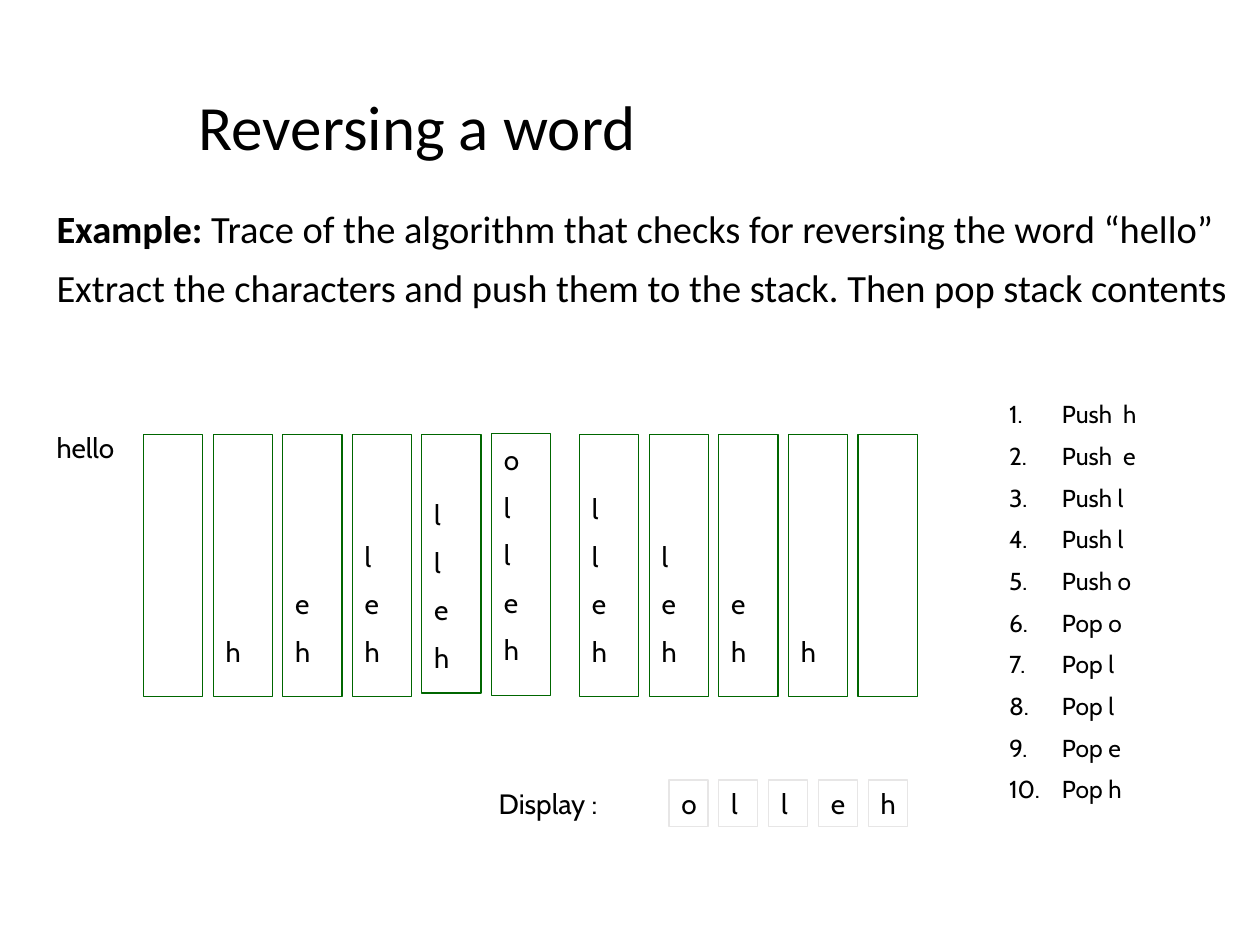
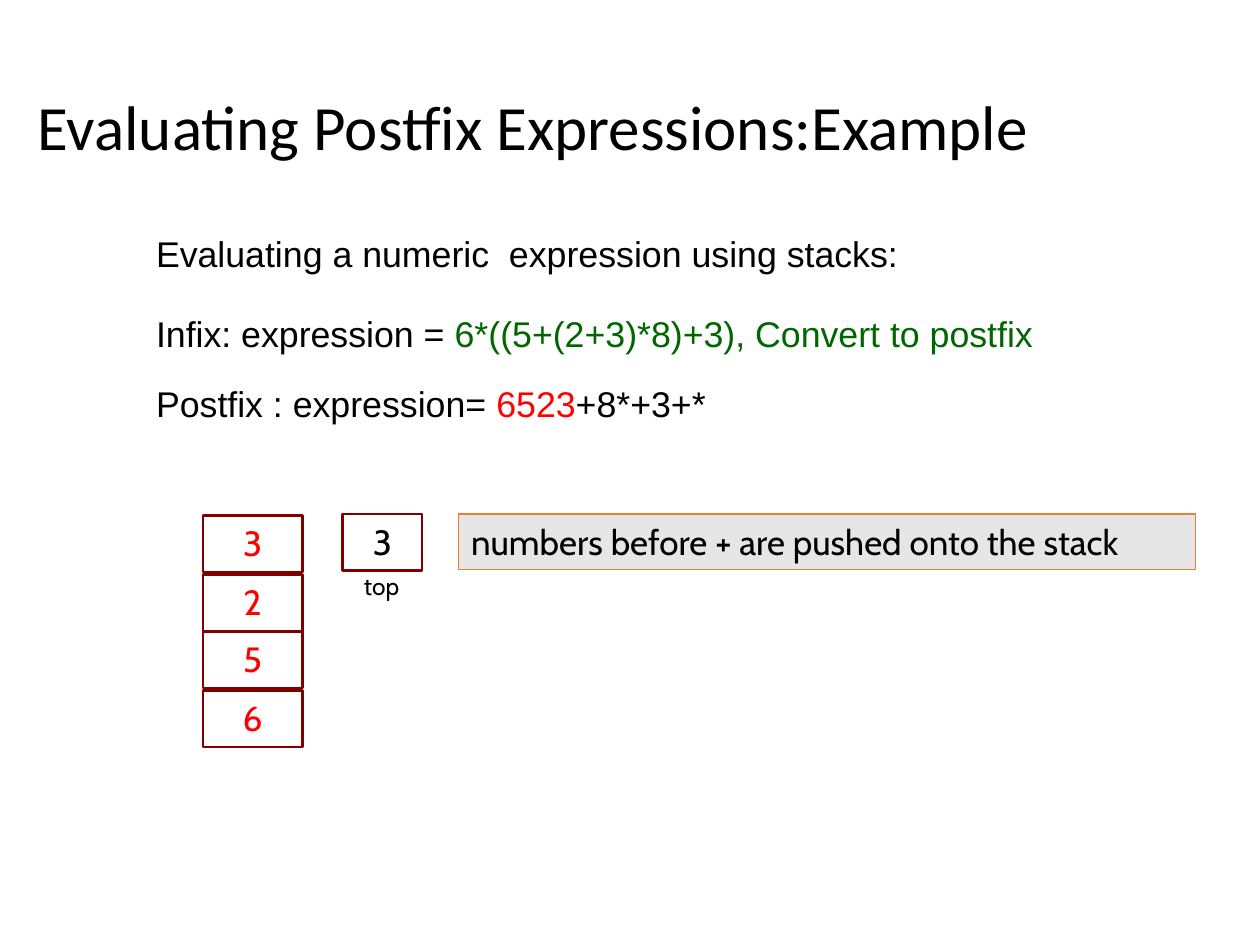
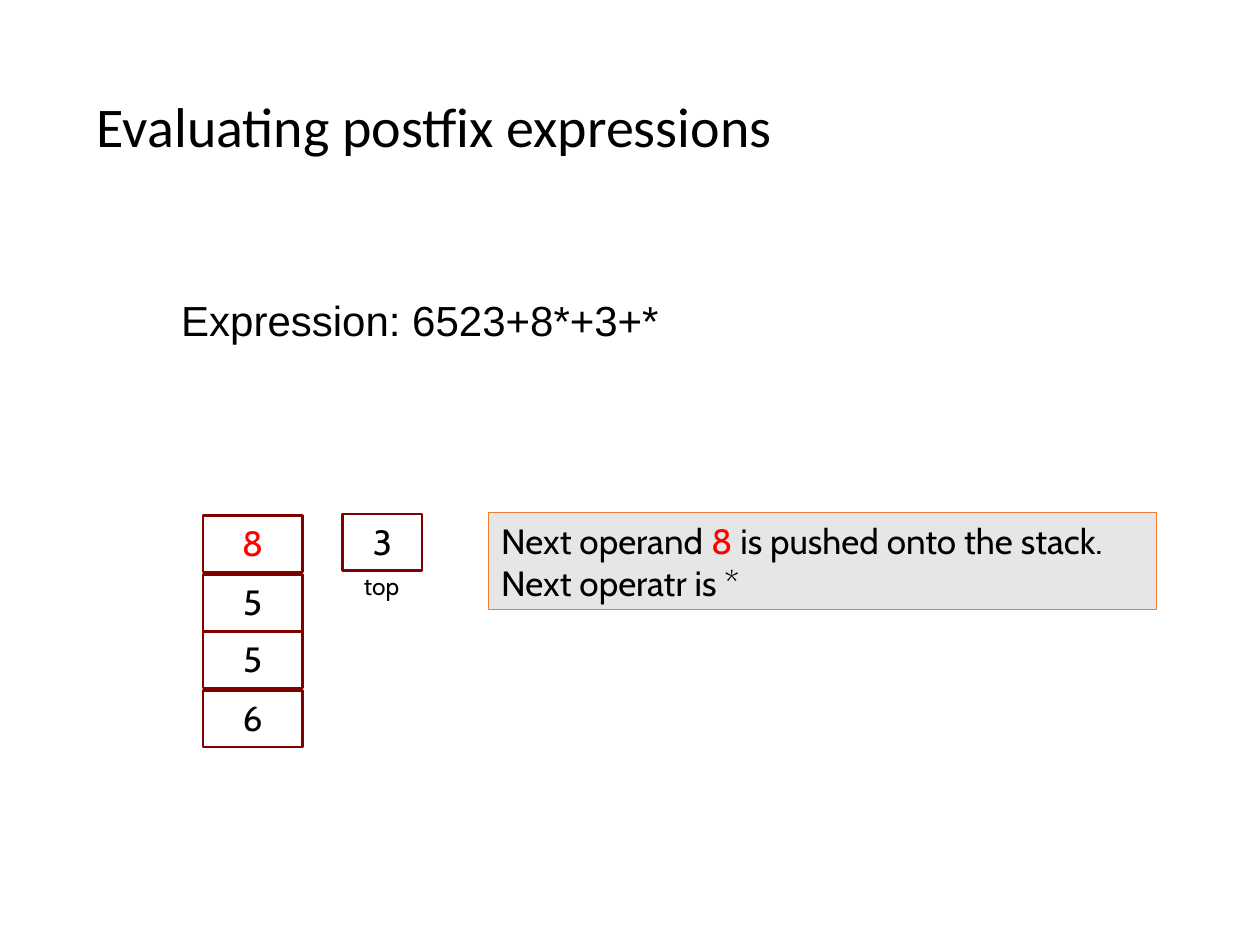
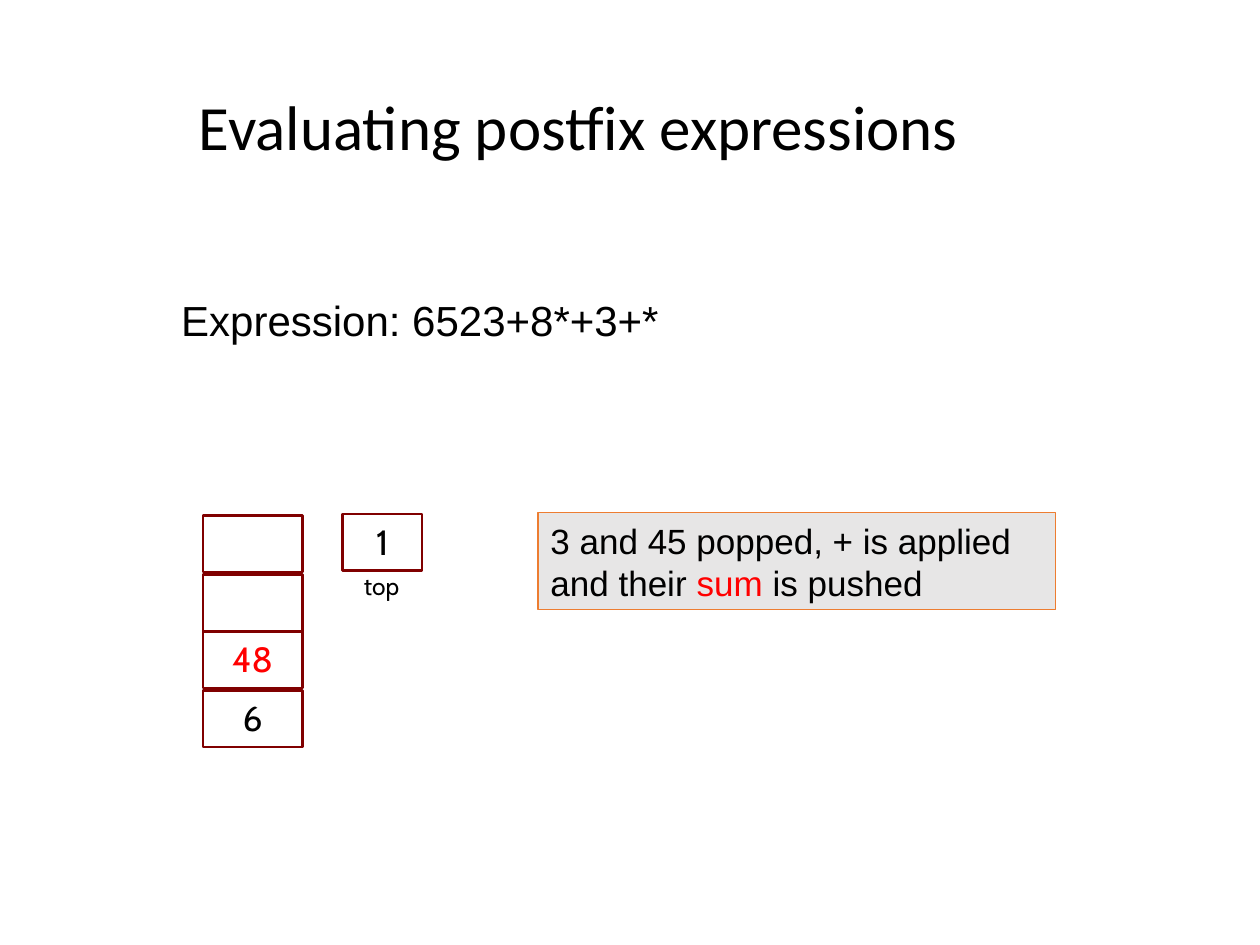
"""Build four slides on stacks: reversing a word and evaluating postfix expressions."""
from lxml import etree
from pptx import Presentation
from pptx import util as u
from pptx.dml.color import RGBColor
from pptx.enum import shapes, text
from pptx.oxml import ns

COLOURS = {
    "ink": "000000",
    "green": "006600",
    "red": "FF0000",
    "maroon": "800000",
    "grey": "E7E6E6",
    "orange": "ED7D31",
}
CELL_TOPS = (4.09, 4.56, 5.01, 5.48)
RED = {"colour": "red"}


def spread(first, last, count):
    return [first + (last - first) * step / (count - 1) for step in range(count)]


class Deck:
    def __init__(self):
        self.presentation = Presentation()
        self.presentation.slide_width = u.Inches(10)
        self.presentation.slide_height = u.Inches(7.5)
        self.slide = None

    def add_slide(self, title, left, size=36):
        self.slide = self.presentation.slides.add_slide(self.presentation.slide_layouts[6])
        self.text_box((left, 0.23, 10 - left, 1.6), [title], font="Calibri", size=size,
                      line_spacing=0.9, anchor=text.MSO_ANCHOR.MIDDLE)

    def colour(self, name):
        return RGBColor.from_string(COLOURS[name])

    def fill_text(self, shape, paragraphs, font="Cabin", size=20, colour="ink", gap=0,
                  line_spacing=None, align=text.PP_ALIGN.LEFT, anchor=text.MSO_ANCHOR.TOP,
                  bottom=0.05, numbered=False):
        frame = shape.text_frame
        frame_format = {"word_wrap": True, "vertical_anchor": anchor,
                        "margin_bottom": u.Inches(bottom)}
        for name, value in frame_format.items():
            setattr(frame, name, value)
        for index, runs in enumerate(paragraphs):
            paragraph = frame.add_paragraph() if index else frame.paragraphs[0]
            if numbered:
                self.number(paragraph)
            paragraph_format = {"alignment": align, "line_spacing": line_spacing,
                                "space_before": u.Pt(gap if index else 0)}
            for name, value in paragraph_format.items():
                setattr(paragraph, name, value)
            for words, changes in [(runs, {})] if isinstance(runs, str) else runs:
                run = paragraph.add_run()
                run.text = words
                run_format = {"name": font, "size": u.Pt(size), "bold": changes.get("bold", False)}
                for name, value in run_format.items():
                    setattr(run.font, name, value)
                run.font.color.rgb = self.colour(changes.get("colour", colour))

    def number(self, paragraph):
        properties = paragraph._p.get_or_add_pPr()
        properties.set("marL", str(u.Inches(0.42)))
        properties.set("indent", str(u.Inches(-0.42)))
        etree.SubElement(properties, ns.qn("a:buAutoNum"), type="arabicPeriod")

    def text_box(self, place, paragraphs, **style):
        shape = self.slide.shapes.add_textbox(*map(u.Inches, place))
        self.fill_text(shape, paragraphs, **style)
        return shape

    def box(self, place, paragraphs=(), line="green", width=0.75, fill=None, **style):
        shape = self.slide.shapes.add_shape(shapes.MSO_SHAPE.RECTANGLE, *map(u.Inches, place))
        shape.shadow.inherit = False
        if fill:
            shape.fill.solid()
            shape.fill.fore_color.rgb = self.colour(fill)
        else:
            shape.fill.background()
        shape.line.color.rgb = self.colour(line)
        shape.line.width = u.Pt(width)
        self.fill_text(shape, paragraphs, **style)

    def note(self, place, runs, font="Cabin"):
        self.box(place, [runs], line="orange", fill="grey", font=font)

    def cell(self, place, value, colour="ink"):
        self.box(place, [value] if value else [], line="maroon", width=1.5, colour=colour,
                 align=text.PP_ALIGN.CENTER)

    def number_stack(self, values, new_values, top_index):
        for top, value, is_new in zip(CELL_TOPS, values, new_values):
            self.cell((1.61, top, 0.79, 0.45), value, "red" if is_new else "ink")
        self.cell((2.72, 4.08, 0.63, 0.45), top_index)
        self.text_box((2.79, 4.48, 0.63, 0.33), ["top"], size=14)

    def expression(self):
        self.text_box((1.34, 2.33, 8.66, 1.02), ["Expression: 6523+8*+3+*"],
                      font="Arial", size=24, line_spacing=0.9)


def reversing_slide(deck):
    deck.add_slide("Reversing a word", 1.48)
    deck.text_box((0.35, 1.62, 9.65, 1.16), [
        [("Example: ", {"bold": True}),
         ("Trace of the algorithm that checks for reversing the word “hello”", {})],
        "Extract the characters and push them to the stack. Then pop stack contents",
    ], font="Calibri", size=22, line_spacing=0.9, gap=10)
    deck.text_box((0.35, 3.37, 0.71, 0.39), ["hello"], size=16)

    stacks = ("", "h", "eh", "leh", "lleh", "olleh", "lleh", "leh", "eh", "h", "")
    lefts = spread(1.14, 3.9, 6) + spread(4.6, 6.81, 5)
    adjusted = {4: (3.45, 2.05, 0.15), 5: (3.44, 2.08, 0.23)}
    for index, (left, letters) in enumerate(zip(lefts, stacks)):
        top, height, bottom = adjusted.get(index, (3.45, 2.08, 0.23))
        deck.box((left, top, 0.47, height), letters, size=16, gap=8, bottom=bottom,
                 anchor=text.MSO_ANCHOR.BOTTOM)

    steps = ["Push  h", "Push  e", "Push l", "Push l", "Push o",
             "Pop o", "Pop l", "Pop l", "Pop e", "Pop h"]
    deck.text_box((7.91, 3.12, 1.42, 3.68), steps, size=14, gap=7, numbered=True)

    deck.text_box((3.86, 6.19, 1.4, 0.37), ["Display :"], size=16)
    for left, letter in zip(spread(5.31, 6.89, 5), "olleh"):
        deck.box((left, 6.19, 0.31, 0.37), letter, line="grey", size=16)


def operands_slide(deck):
    deck.add_slide("Evaluating Postfix Expressions:Example", 0.2)
    body = deck.text_box((1.14, 1.86, 7.64, 1.51), [
        "Evaluating a numeric  expression using stacks:",
        [("Infix: expression = ", {}),
         ("6*((5+(2+3)*8)+3), Convert to postfix", {"colour": "green"})],
        [("Postfix : expression= ", {}), ("6523", RED), ("+8*+3+*", {})],
    ], font="Arial", size=20.4, line_spacing=0.8, gap=20)
    body.text_frame.paragraphs[1].space_before = u.Pt(26)
    deck.number_stack("3256", (True,) * 4, "3")
    deck.note((3.64, 4.08, 5.85, 0.44), "numbers before + are pushed onto the stack")


def push_slide(deck):
    deck.add_slide("Evaluating postfix expressions", 0.67, size=32)
    deck.expression()
    deck.note((3.88, 4.07, 5.3, 0.77), [
        ("Next operand ", {}), ("8", RED),
        (" is pushed onto the stack. Next operatr is *", {})])
    deck.number_stack("8556", (True, False, False, False), "3")


def sum_slide(deck):
    deck.add_slide("Evaluating postfix expressions", 1.48)
    deck.expression()
    deck.note((4.27, 4.07, 4.11, 0.77), [
        ("3 and 45 popped, + is applied and their ", {}), ("sum", RED),
        (" is pushed", {})], font="Arial")
    deck.number_stack(("", "", "48", "6"), (False, False, True, False), "1")


def main():
    deck = Deck()
    for build in (reversing_slide, operands_slide, push_slide, sum_slide):
        build(deck)
    deck.presentation.save("out.pptx")


if __name__ == "__main__":
    main()
